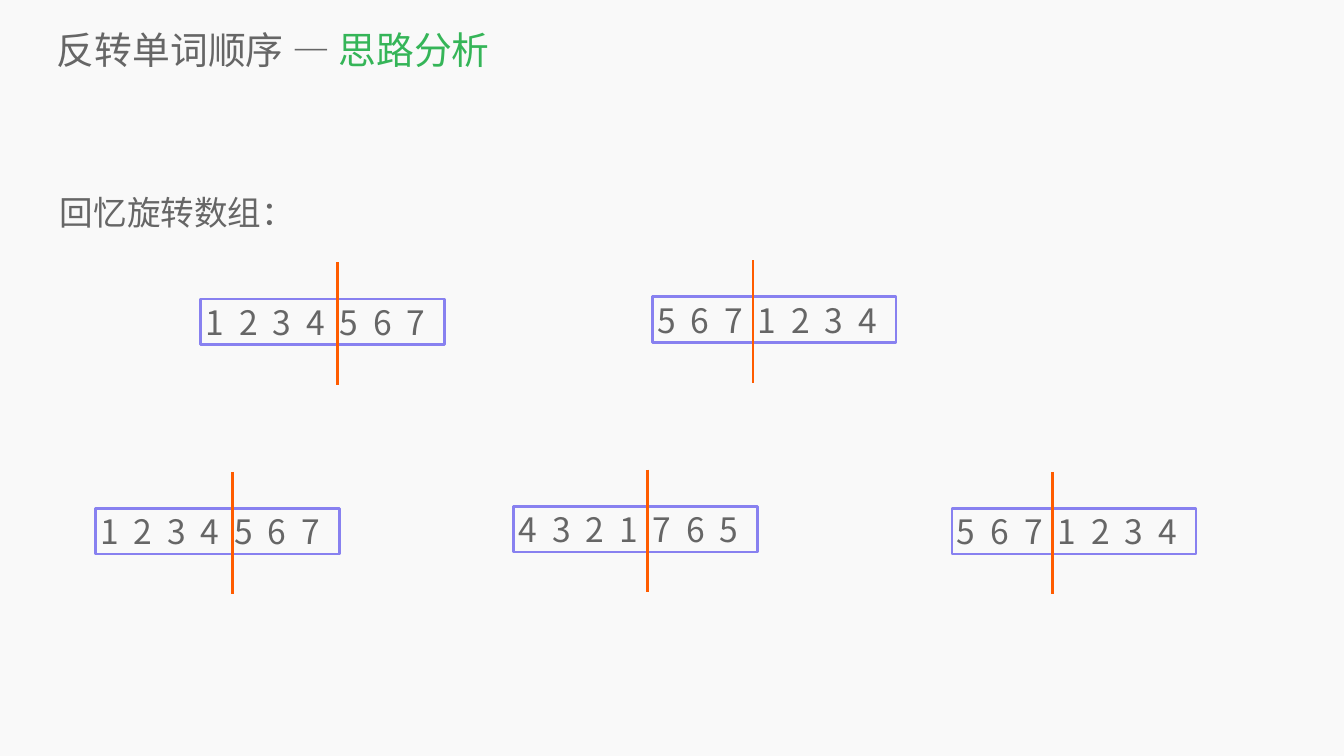
from lxml import etree
from pptx import Presentation
from pptx.dml.color import RGBColor
from pptx.enum import shapes, text
from pptx.oxml.ns import qn
from pptx.util import Pt

FONT = "Noto Sans CJK SC"
BACKGROUND = RGBColor(0xF9, 0xF9, 0xF9)
GREY = RGBColor(0x66, 0x66, 0x66)
GREEN = RGBColor(0x35, 0xB5, 0x58)
PURPLE = RGBColor(0x88, 0x81, 0xF0)
ORANGE = RGBColor(0xFF, 0x5C, 0x00)


def add_run(p, content, size=48, color=GREY, spacing=None):
    r = p.add_run()
    r.text = content
    r.font.size = Pt(size)
    r.font.name = FONT
    r.font.color.rgb = color
    rPr = r._r.get_or_add_rPr()
    etree.SubElement(rPr, qn("a:ea")).set("typeface", FONT)
    if spacing:
        rPr.set("spc", str(round(spacing * 100)))


class SlideBuilder:
    box_width, box_height = 348.5, 65.5
    cut_rise, cut_height = 52, 175
    line_width = 4
    digit_spacing = 5.3

    def __init__(self, s):
        self.s = s

    def placeholder(self, sp, box, runs, anchor, line_spacing=1.0):
        sp.left, sp.top, sp.width, sp.height = map(Pt, box)
        tf = sp.text_frame
        tf.word_wrap = True
        tf.auto_size = text.MSO_AUTO_SIZE.NONE
        tf.vertical_anchor = anchor
        tf.margin_left = tf.margin_top = tf.margin_right = tf.margin_bottom = 0
        p = tf.paragraphs[0]
        p.alignment = text.PP_ALIGN.LEFT
        p.line_spacing = line_spacing
        p.space_before = Pt(0)
        for content, style in runs:
            add_run(p, content, **style)

    def array(self, x, y, digits, cut):
        """Boxed digits, split by a vertical line `cut` points from the left."""
        group = self.s.shapes.add_group_shape().shapes
        sp = group.add_shape(shapes.MSO_SHAPE.RECTANGLE, Pt(x), Pt(y),
                             Pt(self.box_width), Pt(self.box_height))
        sp.shadow.inherit = False
        sp.fill.background()
        sp.line.color.rgb = PURPLE
        sp.line.width = Pt(self.line_width)
        tf = sp.text_frame
        tf.word_wrap = False
        tf.vertical_anchor = text.MSO_ANCHOR.MIDDLE
        p = tf.paragraphs[0]
        p.alignment = text.PP_ALIGN.LEFT
        add_run(p, " ".join(digits), spacing=self.digit_spacing)

        top = y - self.cut_rise
        line = group.add_connector(shapes.MSO_CONNECTOR.STRAIGHT, Pt(x + cut), Pt(top),
                                   Pt(x + cut), Pt(top + self.cut_height))
        line.line.color.rgb = ORANGE
        line.line.width = Pt(self.line_width)
        etree.SubElement(line._element.spPr, qn("a:effectLst"))


def main():
    prs = Presentation()
    prs.slide_width, prs.slide_height = Pt(1920), Pt(1080)
    s = prs.slides.add_slide(prs.slide_layouts[0])
    s.background.fill.solid()
    s.background.fill.fore_color.rgb = BACKGROUND
    builder = SlideBuilder(s)

    # Title and lead-in
    builder.placeholder(s.shapes.title, (81.4, 33.8, 1811.5, 73.4),
                        [("反转单词顺序 — ", {"size": 54}),
                         ("思路分析", {"size": 54, "color": GREEN})],
                        text.MSO_ANCHOR.MIDDLE)
    builder.placeholder(s.placeholders[1], (85.7, 251.3, 1748, 809),
                        [("回忆旋转数组：", {})], text.MSO_ANCHOR.TOP, line_spacing=1.4)

    # Rotation: before and after
    builder.array(286.6, 427, "1234567", 196)
    builder.array(931.7, 424, "5671234", 144)

    # Rotation by reversing: start, halves reversed, whole reversed
    builder.array(136, 726, "1234567", 196)
    builder.array(733.7, 723, "4321765", 191)
    builder.array(1360, 726, "5671234", 144)

    prs.save("out.pptx")


if __name__ == "__main__":
    main()
